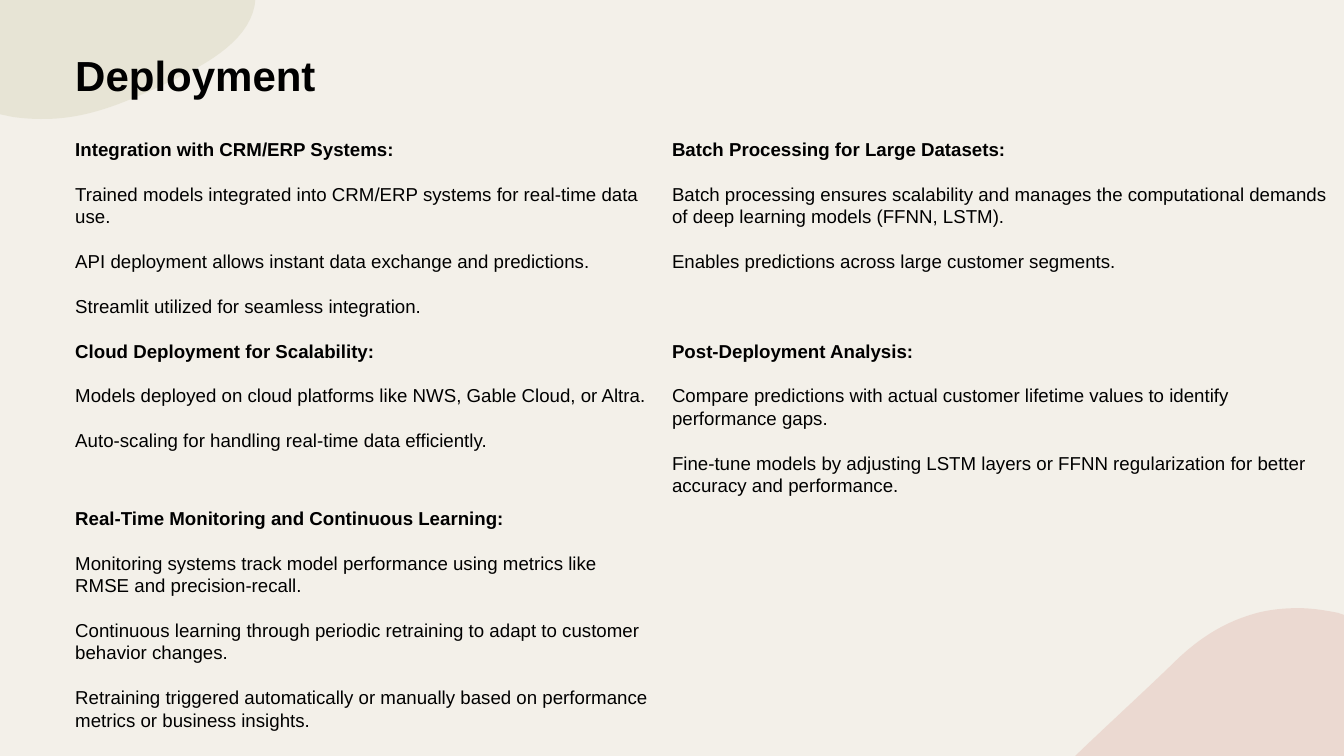
from lxml import etree
from pptx import Presentation
from pptx.dml.color import RGBColor
from pptx.enum.text import MSO_ANCHOR, MSO_AUTO_SIZE, PP_ALIGN
from pptx.oxml.ns import qn
from pptx.util import Pt

TOP, LEFT, NO_FIT = MSO_ANCHOR.TOP, PP_ALIGN.LEFT, MSO_AUTO_SIZE.NONE
CREAM = RGBColor(0xF3, 0xF0, 0xE9)
ROSE = RGBColor(0xE5, 0xC4, 0xBA)
SAGE = RGBColor(0xDC, 0xD9, 0xC3)
BLACK = RGBColor(0, 0, 0)
COMPARISON_LAYOUT = 4
CURVE_STEPS = 16

# Columns as (left, width) and the tops of the rows, in points
LEFT_COL, RIGHT_COL = (80.6, 622), (720, 705.6)
ROW_1, ROW_2, ROW_3 = 147.6, 363.6, 542.9
TITLE_BOX = (80.6, 52.6, 289.4, 54.7)

SECTIONS = [
    ((LEFT_COL, ROW_1, 188.6), [
        "Integration with CRM/ERP Systems:",
        "Trained models integrated into CRM/ERP systems for real-time data use.",
        "API deployment allows instant data exchange and predictions.",
        "Streamlit utilized for seamless integration."]),
    ((LEFT_COL, ROW_2, 142.6), [
        "Cloud Deployment for Scalability:",
        "Models deployed on cloud platforms like NWS, Gable Cloud, or Altra.",
        "Auto-scaling for handling real-time data efficiently."]),
    ((RIGHT_COL, ROW_1, 142.6), [
        "Batch Processing for Large Datasets:",
        "Batch processing ensures scalability and manages the computational "
        "demands of deep learning models (FFNN, LSTM).",
        "Enables predictions across large customer segments."]),
    ((RIGHT_COL, ROW_2, 188.6), [
        "Post-Deployment Analysis:",
        "Compare predictions with actual customer lifetime values to identify "
        "performance gaps.",
        "Fine-tune models by adjusting LSTM layers or FFNN regularization for "
        "better accuracy and performance."]),
    ((LEFT_COL, ROW_3, 235.4), [
        "Real-Time Monitoring and Continuous Learning:",
        "Monitoring systems track model performance using metrics like RMSE "
        "and precision-recall.",
        "Continuous learning through periodic retraining to adapt to customer "
        "behavior changes.",
        "Retraining triggered automatically or manually based on performance "
        "metrics or business insights."]),
]

# Outlines relative to their corner: 2 numbers are a line, 6 are a curve
ROSE_HILL = [
    (239, 0), (253.4, 0, 267.1, 2.2, 281.5, 5), (288, 7.2), (288, 158.4),
    (0, 158.4), (1.4, 157), (38.2, 121.7, 76.3, 87.1, 110.2, 54),
    (134.6, 31, 159.1, 16.6, 183.6, 8.6), (201.6, 2.2, 220.3, 0, 239, 0)]
SAGE_CORNER = [
    (0, 0), (273.6, 0), (272.9, 6.5), (265, 47.5, 216, 72.7, 170.6, 93.6),
    (132.5, 110.9, 92.2, 128.9, 43.9, 128.2),
    (33.8, 128.2, 23.8, 127.4, 13.7, 126), (0, 123.1)]


def curve_point(p0, p1, p2, p3, t):
    u = 1 - t
    return tuple(u**3 * a + 3 * u * u * t * b + 3 * u * t * t * c + t**3 * d
                 for a, b, c, d in zip(p0, p1, p2, p3))


def flatten(outline):
    points = [outline[0]]
    for seg in outline[1:]:
        if len(seg) == 2:
            points.append(seg)
            continue
        start = points[-1]
        points += [curve_point(start, seg[:2], seg[2:4], seg[4:], i / CURVE_STEPS)
                   for i in range(1, CURVE_STEPS + 1)]
    return points


def add_blob(slide, corner, outline, color):
    """Half-transparent curved shape, placed behind the text."""
    x, y = corner
    points = [(Pt(x + px), Pt(y + py)) for px, py in flatten(outline)]
    builder = slide.shapes.build_freeform(*points[0], scale=1)
    builder.add_line_segments(points[1:], close=True)
    sp = builder.convert_to_shape()
    sp.shadow.inherit = False
    sp.line.fill.background()
    sp.fill.solid()
    sp.fill.fore_color.rgb = color
    clr = sp.fill._xPr.find(qn("a:solidFill"))[0]
    etree.SubElement(clr, qn("a:alpha"), val="50000")
    slide.shapes._spTree.insert(2, sp._element)


def place(sp, box):
    for name, value in zip(("left", "top", "width", "height"), box):
        setattr(sp, name, Pt(value))
    tf = sp.text_frame
    frame = dict(margin_left=0, margin_top=0, margin_right=0, margin_bottom=0,
                 word_wrap=True, auto_size=NO_FIT, vertical_anchor=TOP)
    for name, value in frame.items():
        setattr(tf, name, value)
    return tf


def write(p, text, size, leading, bold, before=0):
    pPr = p._p.get_or_add_pPr()
    pPr.set("marL", "0")
    pPr.set("indent", "0")
    etree.SubElement(pPr, qn("a:buNone"))
    layout = dict(alignment=LEFT, line_spacing=Pt(leading),
                  space_before=Pt(before), space_after=Pt(0))
    for name, value in layout.items():
        setattr(p, name, value)
    r = p.add_run()
    r.text = text
    for name, value in dict(name="Arial", size=Pt(size), bold=bold).items():
        setattr(r.font, name, value)
    r.font.color.rgb = BLACK


def fill_title(sp, box, text):
    write(place(sp, box).paragraphs[0], text, 45, 54, True)


def fill_section(sp, box, lines):
    """Bold heading followed by statements one line apart."""
    tf = place(sp, box)
    for i, line in enumerate(lines):
        p = tf.add_paragraph() if i else tf.paragraphs[0]
        write(p, line, 20, 24, bold=i == 0, before=24 if i else 0)


def main():
    prs = Presentation()
    prs.slide_width, prs.slide_height = Pt(1440), Pt(810)
    slide = prs.slides.add_slide(prs.slide_layouts[COMPARISON_LAYOUT])
    slide.background.fill.solid()
    slide.background.fill.fore_color.rgb = CREAM

    # Decoration
    add_blob(slide, (0, -0.7), SAGE_CORNER, SAGE)
    add_blob(slide, (1152, 651.6), ROSE_HILL, ROSE)

    # Title and sections; the layout has four bodies, the fifth is a text box
    fill_title(slide.shapes.title, TITLE_BOX, "Deployment")
    bodies = [sp for sp in slide.placeholders if sp.placeholder_format.idx > 0]
    bodies.append(slide.shapes.add_textbox(0, 0, 0, 0))
    for sp, (((left, width), top, height), lines) in zip(bodies, SECTIONS):
        fill_section(sp, (left, top, width, height), lines)

    prs.save("out.pptx")


if __name__ == "__main__":
    main()
